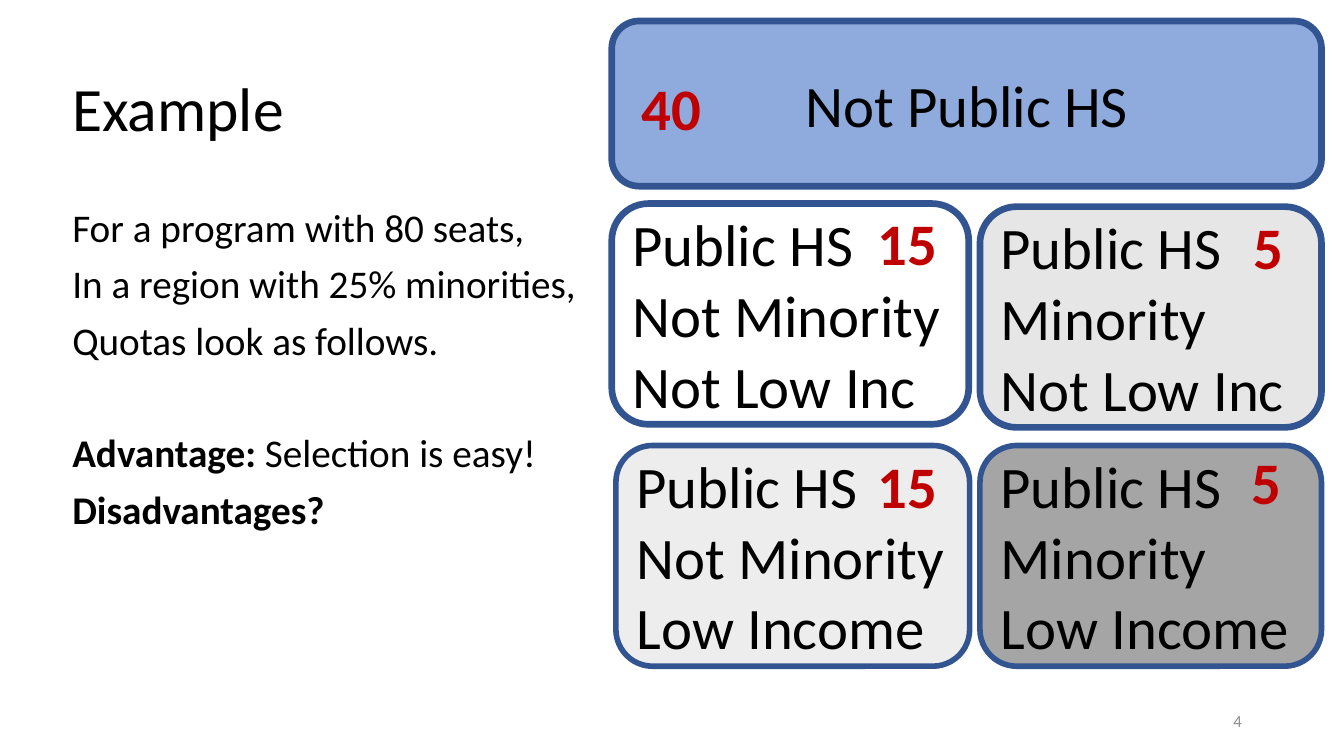
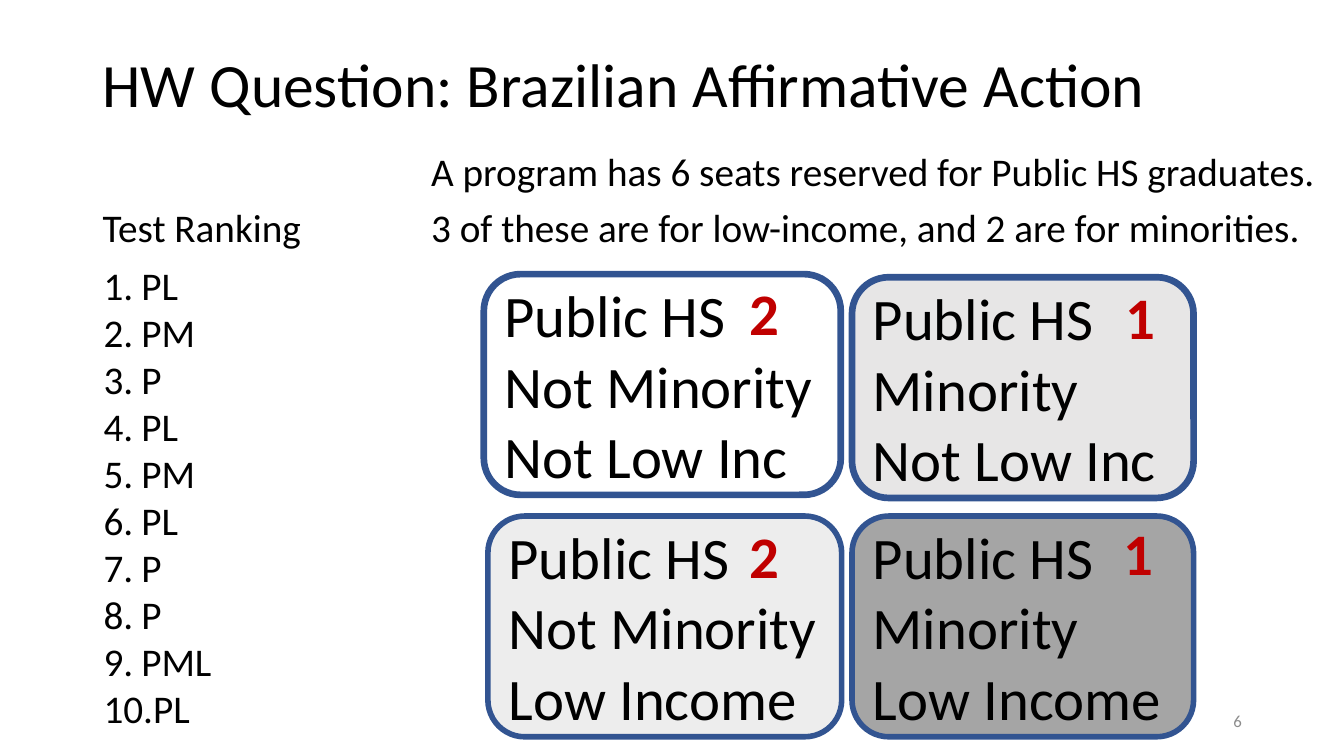
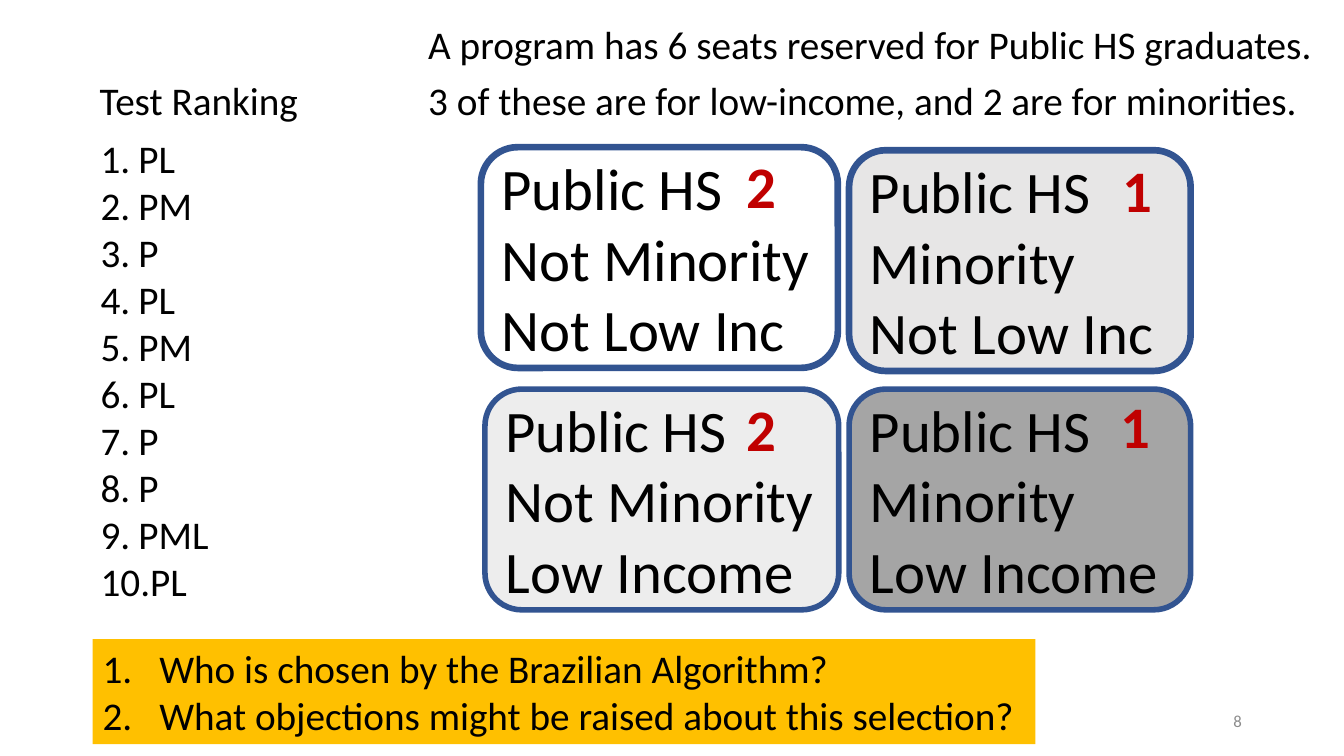
"""Build three slides on quotas in affirmative action."""
import pptx
import pptx.dml.color
import pptx.enum.shapes
import pptx.enum.text
import pptx.util
from lxml import etree

Pt = pptx.util.Pt
SHAPES = pptx.enum.shapes.MSO_SHAPE
ALIGN = pptx.enum.text.PP_ALIGN
ANCHOR = pptx.enum.text.MSO_ANCHOR

COLOURS = {
    "text": "000000",
    "count": "C00000",
    "number": "8C8C8C",
    "border": "325491",
    "private": "8FAADC",
    "neither": "FFFFFF",
    "minority": "E7E6E6",
    "low_income": "EDEDED",
    "both": "A5A5A5",
    "question": "FFC000",
}
FONT = "Calibri"
BODY = {"size": 28}
LARGE = {"size": 42}
TITLE = {"size": 44}
COUNT = {"size": 42, "bold": True, "colour": "count"}
NUMBER = {"size": 12, "colour": "number"}
TIGHT = {"line_spacing": 0.9}
SPACED = {"line_spacing": 0.9, "space_before": Pt(10)}
AFTER_GAP = {"line_spacing": 0.9, "space_before": Pt(50.4)}

CELL_HEIGHT = 157.7
CELLS = [
    ((0, 0, 255), "neither", 4.75, ["Public HS", "Not Minority", "Not Low Inc"], (183, -1.4)),
    ((263, 2.2, 244), "minority", 4.75, ["Public HS", "Minority", "Not Low Inc"], (451.4, 1.4)),
    ((2.9, 172.8, 252.7), "low_income", 4, ["Public HS", "Not Minority", "Low Income"], (183, 172)),
    ((263, 172.8, 244), "both", 4, ["Public HS", "Minority", "Low Income"], (450, 169.6)),
]
RANKING = ["PL", "PM", "P", "PL", "PM", "PL", "P", "P", "PML", "PL"]
STATEMENT = [
    "A program has 6 seats reserved for Public HS graduates.",
    "3 of these are for low-income, and 2 are for minorities.",
]
QUESTIONS = [
    "Who is chosen by the Brazilian Algorithm?",
    "What objections might be raised about this selection?",
]


def colour(name):
    """Return the named colour."""
    return pptx.dml.color.RGBColor.from_string(COLOURS[name])


def apply(target, values):
    """Set each attribute of the target from a dict."""
    for name, value in values.items():
        setattr(target, name, value)


def add_span(para, text, style):
    """Add one run of text in a style."""
    span = para.add_run()
    span.text = text
    values = {"name": FONT, "bold": False, **style}
    span.font.color.rgb = colour(values.pop("colour", "text"))
    values["size"] = Pt(values["size"])
    apply(span.font, values)


def add_number(para, indent):
    """Number a paragraph with a hanging indent."""
    properties = para._p.get_or_add_pPr()
    properties.set("marL", str(Pt(indent)))
    properties.set("indent", str(-Pt(indent)))
    tag = pptx.oxml.ns.qn("a:buAutoNum")
    etree.SubElement(properties, tag, type="arabicPeriod")


def write(box, lines, style, layout=None, anchor=ANCHOR.TOP, indent=0):
    """Write lines into a box; a line is a text or a list of (text, style, layout)."""
    frame = box.text_frame
    apply(frame, {"word_wrap": True, "vertical_anchor": anchor})
    for index, line in enumerate(lines):
        para = frame.paragraphs[0] if index == 0 else frame.add_paragraph()
        spans = [(line, {}, {})] if isinstance(line, str) else line
        values = {"alignment": ALIGN.LEFT, **(layout or {})}
        for text, span_style, span_layout in spans:
            values.update(span_layout)
            add_span(para, text, {**style, **span_style})
        if index == 0:
            values.pop("space_before", None)
        if indent:
            add_number(para, indent)
        apply(para, values)


def add_text(page, box, lines, style, **options):
    """Add a text box."""
    shape = page.shapes.add_textbox(*map(Pt, box))
    write(shape, lines, style, **options)


def add_panel(page, kind, box, fill, border, lines, style, **options):
    """Add a filled shape with text."""
    shape = page.shapes.add_shape(kind, *map(Pt, box))
    shape.shadow.inherit = False
    shape.fill.solid()
    shape.fill.fore_color.rgb = colour(fill)
    if border:
        shape.line.color.rgb = colour("border")
        shape.line.width = Pt(border)
    else:
        shape.line.fill.background()
    write(shape, lines, style, **options)


def add_title(page, left, top, text):
    """Add the slide title."""
    add_text(page, (left, top, 828, 104.4), [text], TITLE, layout=TIGHT, anchor=ANCHOR.MIDDLE)


def add_page_number(page, number):
    """Add the page number at the foot."""
    add_text(page, (678.25, 500.5, 216, 28.75), [str(number)], NUMBER,
             layout={"alignment": ALIGN.RIGHT}, anchor=ANCHOR.MIDDLE)


def add_count(page, left, top, count):
    """Add a seat count, as wide as its digits."""
    text = str(count)
    add_text(page, (left, top, 14.4 + 21.6 * len(text), 58.2), [text], COUNT)


def add_quota_grid(page, left, top, counts):
    """Add the four public school groups with their seat counts."""
    for (x, y, width), fill, border, lines, _ in CELLS:
        add_panel(page, SHAPES.ROUNDED_RECTANGLE, (left + x, top + y, width, CELL_HEIGHT),
                  fill, border, lines, LARGE, anchor=ANCHOR.MIDDLE)
    for cell, count in zip(CELLS, counts):
        x, y = cell[-1]
        add_count(page, left + x, top + y, count)


def add_exercise(page, left, top):
    """Add the test ranking, the statement and the quota grid."""
    add_text(page, (left, top + 36.7, 157.7, 41), ["Test Ranking"], BODY)
    add_text(page, (left + 0.7, top + 77.8, 141, 346), RANKING, BODY, indent=27)
    add_text(page, (left + 234.7, top, 658, 131), STATEMENT, BODY, layout=SPACED)
    add_quota_grid(page, left + 279.4, top + 90.7, [2, 1, 2, 1])


def build_example(page):
    """Build the example with 80 seats."""
    add_title(page, 44.6, 27.4, "Example")
    lines = [
        "For a program with 80 seats,",
        "In a region with 25% minorities,",
        "Quotas look as follows.",
        [("Advantage: ", {"bold": True}, AFTER_GAP), ("Selection is easy!", {}, {})],
        [("Disadvantages?", {"bold": True}, {})],
    ]
    add_text(page, (44.6, 145.4, 385, 342.7), lines, BODY, layout=SPACED)
    add_panel(page, SHAPES.ROUNDED_RECTANGLE, (437, 15, 507, 118), "private", 4.75,
              ["Not Public HS"], LARGE, layout={"alignment": ALIGN.CENTER}, anchor=ANCHOR.MIDDLE)
    add_count(page, 451.4, 47.5, 40)
    add_quota_grid(page, 437, 145.4, [15, 5, 15, 5])


def build_homework(page):
    """Build the homework question."""
    add_title(page, 66.2, 10.1, "HW Question: Brazilian Affirmative Action")
    add_exercise(page, 66.2, 105.1)


def build_questions(page):
    """Build the exercise with its two questions."""
    add_exercise(page, 64.1, 14.4)
    add_panel(page, SHAPES.RECTANGLE, (66.2, 456.5, 673.4, 75), "question", 0,
              QUESTIONS, BODY, indent=40.5)


def main():
    """Build and save the deck."""
    deck = pptx.Presentation()
    apply(deck, {"slide_width": Pt(960), "slide_height": Pt(540)})
    for number, build in ((4, build_example), (6, build_homework), (8, build_questions)):
        page = deck.slides.add_slide(deck.slide_layouts[6])
        build(page)
        add_page_number(page, number)
    deck.save("out.pptx")


if __name__ == "__main__":
    main()
